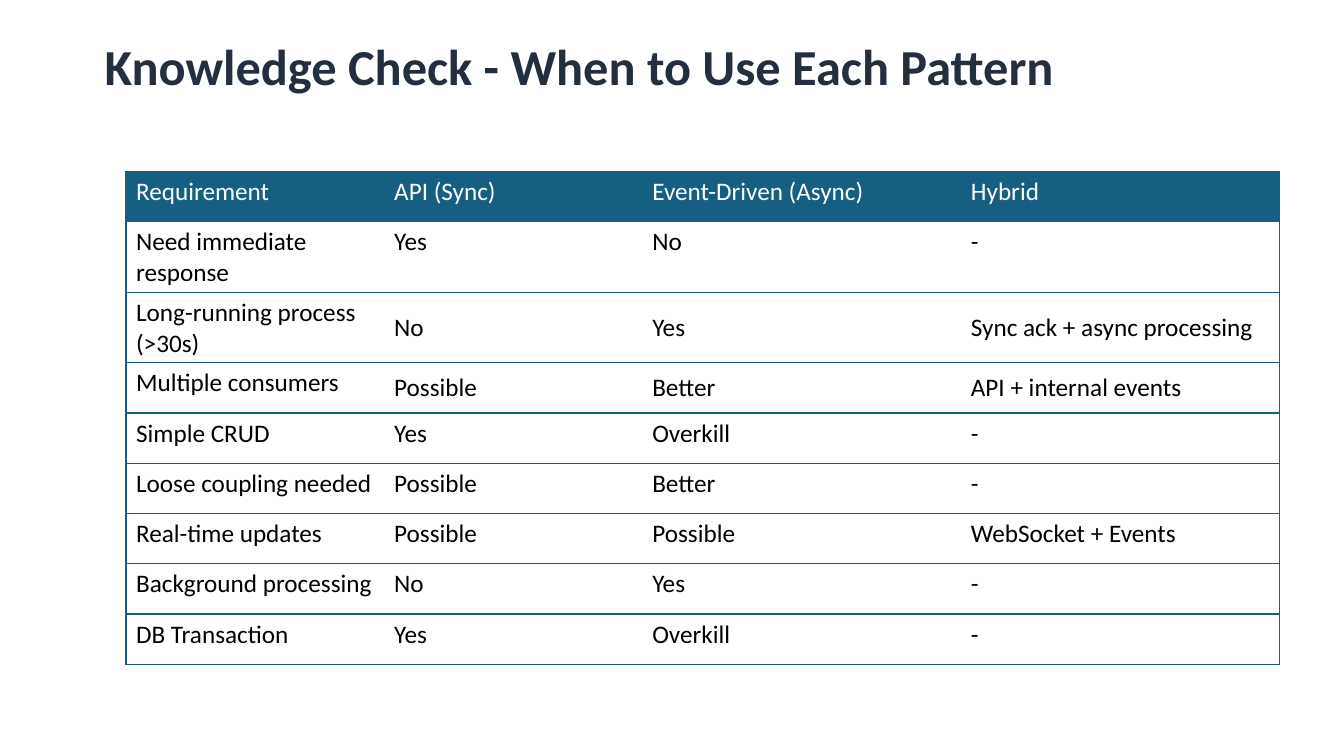
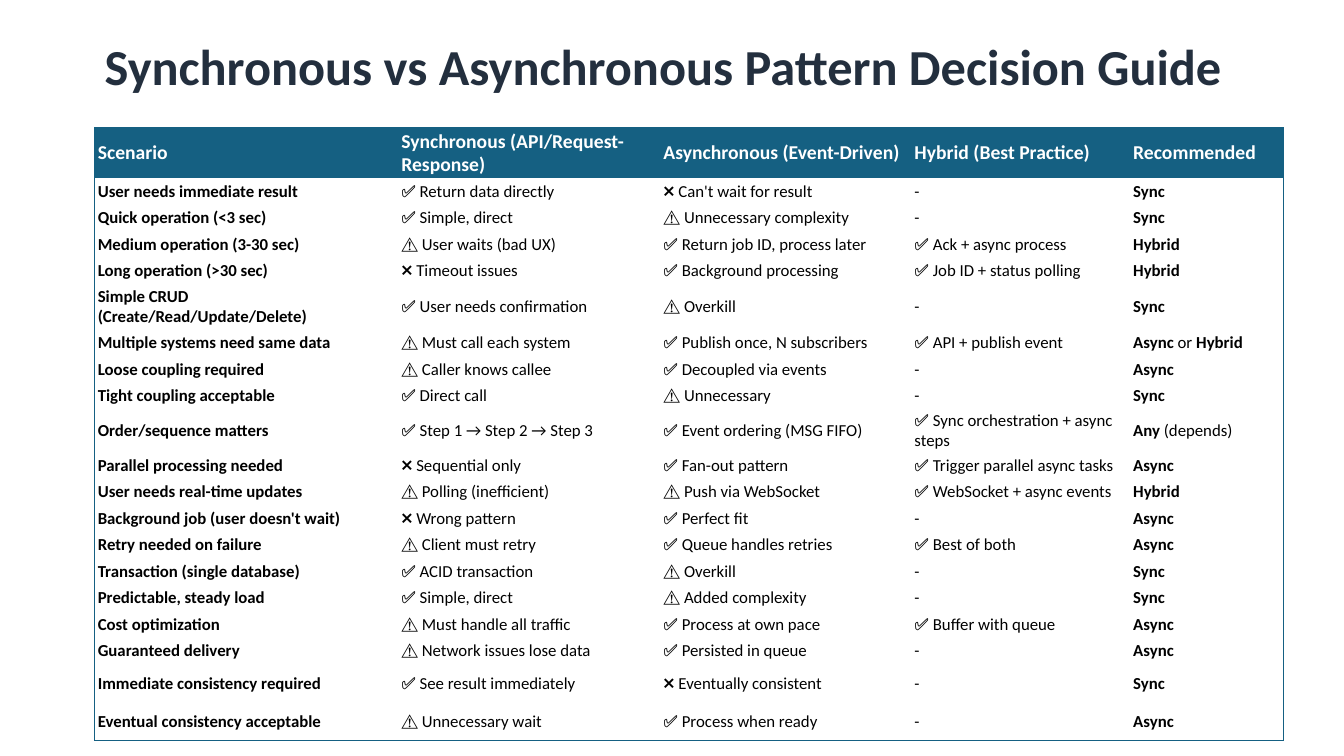
from dataclasses import dataclass, field

from lxml.etree import SubElement
from pptx import Presentation
from pptx.dml.color import RGBColor
from pptx.enum.text import MSO_ANCHOR, MSO_AUTO_SIZE
from pptx.oxml.ns import qn
from pptx.util import Inches, Pt

FONT = "Calibri"
NAVY = "232F3E"
TEAL = "156082"
WHITE = "FFFFFF"
BLACK = "000000"
PLAIN_TABLE = "{2D5ABB26-0587-4C30-8999-92F81FD0307C}"


@dataclass
class TableSpec:
    left: float
    top: float
    height: float
    col_widths: list[float]
    rows: list[list[str]]
    header_size: int
    body_size: int
    row_heights: dict[int, float] = field(default_factory=dict)
    margin_x: float = 0.1
    margin_y: float = 0.05
    row_lines: bool = False
    header_bold: bool = False
    bold_cols: tuple[int, ...] = ()
    middle_rows: tuple[int, ...] = ()
    middle_cols: tuple[int, ...] = ()


def rgb(color: str) -> RGBColor:
    return RGBColor.from_string(color)


def style(font, size: float, color: str, bold: bool) -> None:
    font.name = FONT
    font.size = Pt(size)
    font.bold = bold
    font.color.rgb = rgb(color)


def add_title(slide, text: str) -> None:
    sp = slide.shapes.add_textbox(Inches(0.94), Inches(0.3), Inches(11.43), Inches(0.71))
    tf = sp.text_frame
    tf.word_wrap = True
    tf.auto_size = MSO_AUTO_SIZE.SHAPE_TO_FIT_TEXT
    p = tf.paragraphs[0]
    p.text = text
    style(p.font, 36, NAVY, True)


def add_borders(cell, sides: str) -> None:
    tc_pr = cell._tc.get_or_add_tcPr()
    for side in "LRTB":
        if side in sides:
            ln = SubElement(tc_pr, qn(f"a:ln{side}"), w=str(Pt(1)))
            SubElement(SubElement(ln, qn("a:solidFill")), qn("a:srgbClr"), val=TEAL)


def fill_text(cell, text: str, size: float, color: str, bold: bool) -> None:
    tf = cell.text_frame
    for i, line in enumerate(text.split("\n")):
        p = tf.add_paragraph() if i else tf.paragraphs[0]
        style(p.font, size, color, bold)
        for j, part in enumerate(line.split("*")):
            r = p.add_run()
            r.text = part
            if j % 2:
                r.font.bold = not bold


def cell_sides(spec: TableSpec, row: int, col: int) -> str:
    last_row, last_col = len(spec.rows) - 1, len(spec.col_widths) - 1
    edges = {
        "L": col == 0,
        "R": col == last_col,
        "T": row == 0 or spec.row_lines,
        "B": row == last_row or spec.row_lines,
    }
    return "".join(side for side, drawn in edges.items() if drawn)


def add_table(slide, spec: TableSpec) -> None:
    n_rows, n_cols = len(spec.rows), len(spec.col_widths)
    table = slide.shapes.add_table(
        n_rows, n_cols, Inches(spec.left), Inches(spec.top),
        Inches(sum(spec.col_widths)), Inches(spec.height),
    ).table
    table.horz_banding = False
    table._tbl.tblPr.find(qn("a:tableStyleId")).text = PLAIN_TABLE
    for column, width in zip(table.columns, spec.col_widths):
        column.width = Inches(width)
    shared = (spec.height - sum(spec.row_heights.values())) / (n_rows - len(spec.row_heights))

    for i, texts in enumerate(spec.rows):
        table.rows[i].height = Inches(spec.row_heights.get(i, shared))
        header = i == 0
        for j, text in enumerate(texts):
            cell = table.cell(i, j)
            cell.margin_left = cell.margin_right = Inches(spec.margin_x)
            cell.margin_top = cell.margin_bottom = Inches(spec.margin_y)
            middle = i in spec.middle_rows and j in spec.middle_cols
            cell.vertical_anchor = MSO_ANCHOR.MIDDLE if middle else MSO_ANCHOR.TOP
            add_borders(cell, cell_sides(spec, i, j))
            if header:
                cell.fill.solid()
                cell.fill.fore_color.rgb = rgb(TEAL)
                fill_text(cell, text, spec.header_size, WHITE, spec.header_bold)
            else:
                cell.fill.background()
                fill_text(cell, text, spec.body_size, BLACK, j in spec.bold_cols)


PATTERN_ROWS = [
    ["Requirement", "API (Sync)", "Event-Driven (Async)", "Hybrid"],
    ["Need immediate response", "Yes", "No", "-"],
    ["Long-running process\n(>30s)", "No", "Yes", "Sync ack + async processing"],
    ["Multiple consumers", "Possible", "Better", "API + internal events"],
    ["Simple CRUD", "Yes", "Overkill", "-"],
    ["Loose coupling needed", "Possible", "Better", "-"],
    ["Real-time updates", "Possible", "Possible", "WebSocket + Events"],
    ["Background processing", "No", "Yes", "-"],
    ["DB Transaction", "Yes", "Overkill", "-"],
]

GUIDE_ROWS = [
    ["Scenario", "Synchronous (API/Request-Response)", "Asynchronous (Event-Driven)",
     "Hybrid (Best Practice)", "Recommended"],
    ["User needs immediate result", "✅ Return data directly", "❌ Can't wait for result", "-", "Sync"],
    ["Quick operation (<3 sec)", "✅ Simple, direct", "⚠️ Unnecessary complexity", "-", "Sync"],
    ["Medium operation (3-30 sec)", "⚠️ User waits (bad UX)", "✅ Return job ID, process later",
     "✅ Ack + async process", "Hybrid"],
    ["Long operation (>30 sec)", "❌ Timeout issues", "✅ Background processing",
     "✅ Job ID + status polling", "Hybrid"],
    ["Simple CRUD (Create/Read/Update/Delete)", "✅ User needs confirmation", "⚠️ Overkill", "-", "Sync"],
    ["Multiple systems need same data", "⚠️ Must call each system", "✅ Publish once, N subscribers",
     "✅ API + publish event", "Async* or *Hybrid"],
    ["Loose coupling required", "⚠️ Caller knows callee", "✅ Decoupled via events", "-", "Async"],
    ["Tight coupling acceptable", "✅ Direct call", "⚠️ Unnecessary", "-", "Sync"],
    ["Order/sequence matters", "✅ Step 1 → Step 2 → Step 3", "✅ Event ordering (MSG FIFO)",
     "✅ Sync orchestration + async steps", "Any* (depends)"],
    ["Parallel processing needed", "❌ Sequential only", "✅ Fan-out pattern",
     "✅ Trigger parallel async tasks", "Async"],
    ["User needs real-time updates", "⚠️ Polling (inefficient)", "⚠️ Push via WebSocket",
     "✅ WebSocket + async events", "Hybrid"],
    ["Background job (user doesn't wait)", "❌ Wrong pattern", "✅ Perfect fit", "-", "Async"],
    ["Retry needed on failure", "⚠️ Client must retry", "✅ Queue handles retries",
     "✅ Best of both", "Async"],
    ["Transaction (single database)", "✅ ACID transaction", "⚠️ Overkill", "-", "Sync"],
    ["Predictable, steady load", "✅ Simple, direct", "⚠️ Added complexity", "-", "Sync"],
    ["Cost optimization", "⚠️ Must handle all traffic", "✅ Process at own pace",
     "✅ Buffer with queue", "Async"],
    ["Guaranteed delivery", "⚠️ Network issues lose data", "✅ Persisted in queue", "-", "Async"],
    ["Immediate consistency required", "✅ See result immediately", "❌ Eventually consistent", "-", "Sync"],
    ["Eventual consistency acceptable", "⚠️ Unnecessary wait", "✅ Process when ready", "-", "Async"],
]

SLIDES = {
    "Knowledge Check - When to Use Each Pattern": TableSpec(
        left=1.25, top=1.7, height=4.89, col_widths=[2.56, 2.56, 3.16, 3.16],
        rows=PATTERN_ROWS, header_size=18, body_size=18,
        row_heights={1: 0.7, 2: 0.7}, row_lines=True,
        middle_rows=(2, 3), middle_cols=(1, 2, 3),
    ),
    "Synchronous vs Asynchronous Pattern Decision Guide": TableSpec(
        left=0.94, top=1.27, height=6.08, col_widths=[3.01, 2.6, 2.49, 2.17, 1.52],
        rows=GUIDE_ROWS, header_size=14, body_size=12,
        row_heights={0: 0.5, 5: 0.45, 9: 0.43, 18: 0.38, 19: 0.38},
        margin_x=0.03, margin_y=0.01, header_bold=True, bold_cols=(0, 4),
        middle_rows=tuple(range(len(GUIDE_ROWS))), middle_cols=tuple(range(5)),
    ),
}


def main() -> None:
    prs = Presentation()
    prs.slide_width = Inches(13.33)
    prs.slide_height = Inches(7.5)
    for title, spec in SLIDES.items():
        slide = prs.slides.add_slide(prs.slide_layouts[6])
        add_title(slide, title)
        add_table(slide, spec)
    prs.save("out.pptx")


if __name__ == "__main__":
    main()
